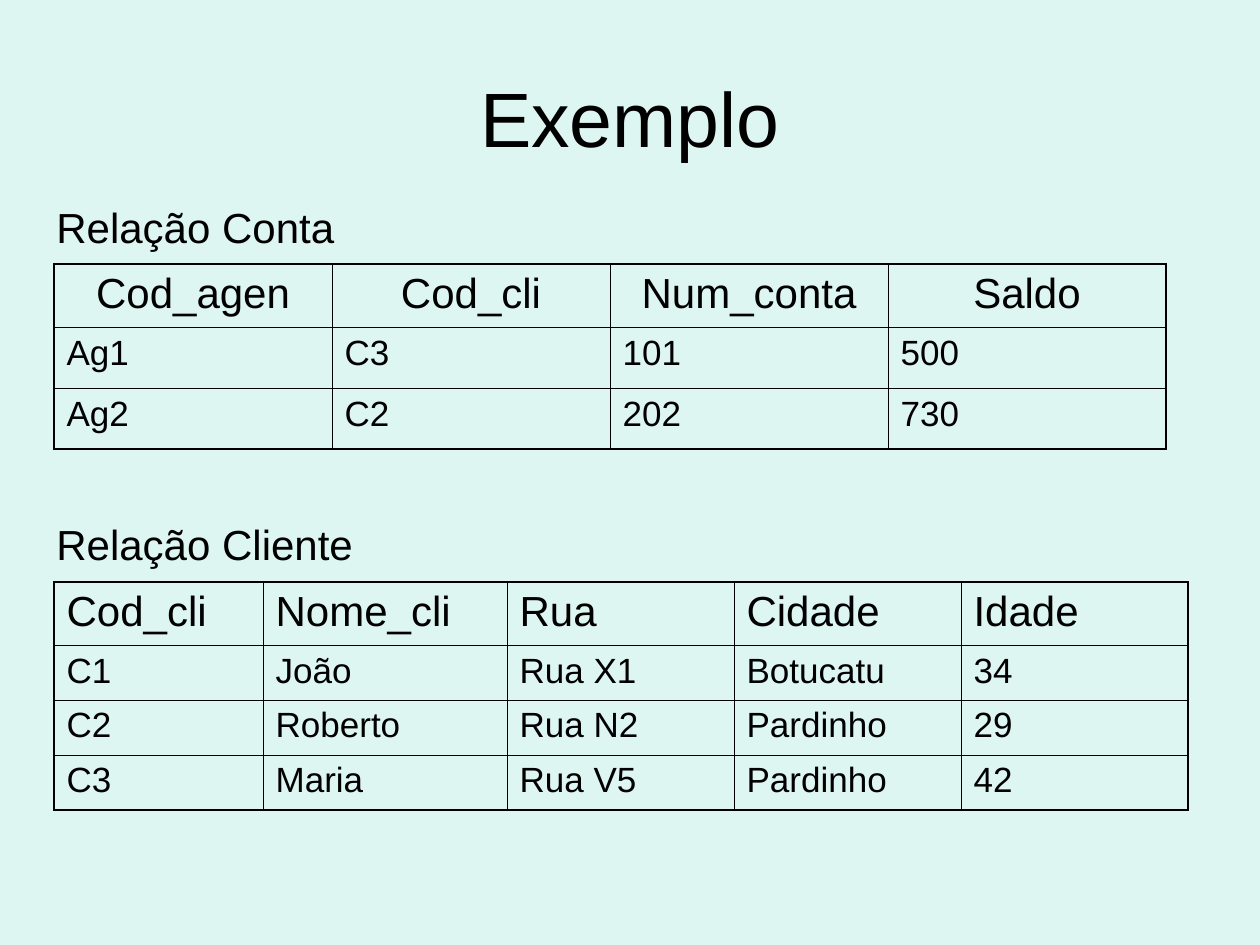
from lxml import etree
from pptx import Presentation, util as u
from pptx.dml.color import RGBColor
from pptx.enum import text
from pptx.oxml.ns import qn

# Content
TITLE = "Exemplo"
LEFT, COLUMN = text.PP_ALIGN.LEFT, text.PP_ALIGN.CENTER
RELATIONS = [
    {
        "label": "Relação Conta", "label_top": 195, "top": 264,
        "header_align": COLUMN, "columns": [278] * 4, "row_height": 61,
        "rows": [
            ["Cod_agen", "Cod_cli", "Num_conta", "Saldo"],
            ["Ag1", "C3", "101", "500"],
            ["Ag2", "C2", "202", "730"],
        ],
    },
    {
        "label": "Relação Cliente", "label_top": 512, "top": 582,
        "header_align": LEFT, "columns": [209, 244, 227, 227, 227], "row_height": 55,
        "rows": [
            ["Cod_cli", "Nome_cli", "Rua", "Cidade", "Idade"],
            ["C1", "João", "Rua X1", "Botucatu", "34"],
            ["C2", "Roberto", "Rua N2", "Pardinho", "29"],
            ["C3", "Maria", "Rua V5", "Pardinho", "42"],
        ],
    },
]

# Format
BACKGROUND = RGBColor(0xDE, 0xF6, 0xF1)
INK = RGBColor(0, 0, 0)
FONT = "Arial"
OUTER, INNER = 1.08, 0.45
TABLE_LEFT, LABEL_LEFT, HEADER_HEIGHT = 54, 44, 63


def px(length):
    return u.Emu(round(length * 914400 / 126))


def write(frame, words, size, align=LEFT):
    paragraph = frame.paragraphs[0]
    paragraph.alignment = align
    run = paragraph.add_run()
    run.text = words
    for name, value in {"name": FONT, "size": u.Pt(size)}.items():
        setattr(run.font, name, value)
    run.font.color.rgb = INK


def add_label(box, words, size, align=LEFT, anchor=text.MSO_ANCHOR.TOP):
    frame = slide.shapes.add_textbox(*map(px, box)).text_frame
    frame.word_wrap = True
    frame.vertical_anchor = anchor
    write(frame, words, size, align)


def set_borders(cell, widths):
    properties = cell._tc.get_or_add_tcPr()
    for position, (side, width) in enumerate(widths.items()):
        line = etree.Element(qn(f"a:{side}"), w=str(u.Pt(width)))
        fill = etree.SubElement(line, qn("a:solidFill"))
        etree.SubElement(fill, qn("a:srgbClr"), val=str(INK))
        properties.insert(position, line)


def add_relation(relation):
    rows, columns = relation["rows"], relation["columns"]
    heights = [HEADER_HEIGHT] + [relation["row_height"]] * (len(rows) - 1)
    add_label((LABEL_LEFT, relation["label_top"], 476, 63), relation["label"], 24)
    table = slide.shapes.add_table(
        len(rows), len(columns), px(TABLE_LEFT), px(relation["top"]),
        px(sum(columns)), px(sum(heights))).table
    table.horz_banding = False
    for column, width in zip(table.columns, columns):
        column.width = px(width)
    for r, (row, height) in enumerate(zip(rows, heights)):
        table.rows[r].height = px(height)
        for c, words in enumerate(row):
            cell = table.cell(r, c)
            cell.fill.background()
            set_borders(cell, {
                "lnL": OUTER if c == 0 else INNER,
                "lnR": OUTER if c == len(columns) - 1 else INNER,
                "lnT": OUTER if r == 0 else INNER,
                "lnB": OUTER if r == len(rows) - 1 else INNER,
            })
            header = r == 0
            write(cell.text_frame, words, 24 if header else 20,
                  relation["header_align"] if header else LEFT)
            for run in cell.text_frame.paragraphs[0].runs:
                run.font.bold = False


prs = Presentation()
prs.slide_width, prs.slide_height = px(1260), px(945)
slide = prs.slides.add_slide(prs.slide_layouts[6])
slide.background.fill.solid()
slide.background.fill.fore_color.rgb = BACKGROUND

# Title
add_label((63, 38, 1134, 158), TITLE, 44, COLUMN, text.MSO_ANCHOR.MIDDLE)

# Labelled tables
for relation in RELATIONS:
    add_relation(relation)

prs.save("out.pptx")
